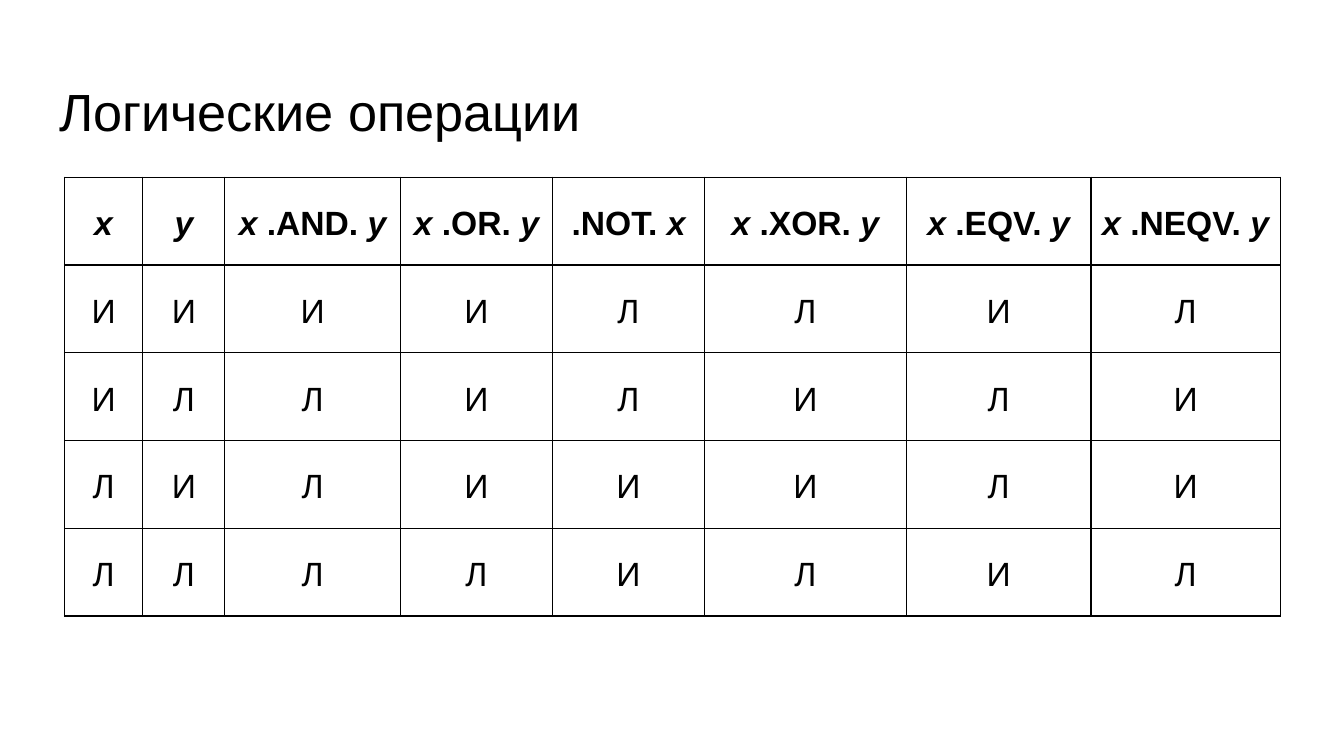
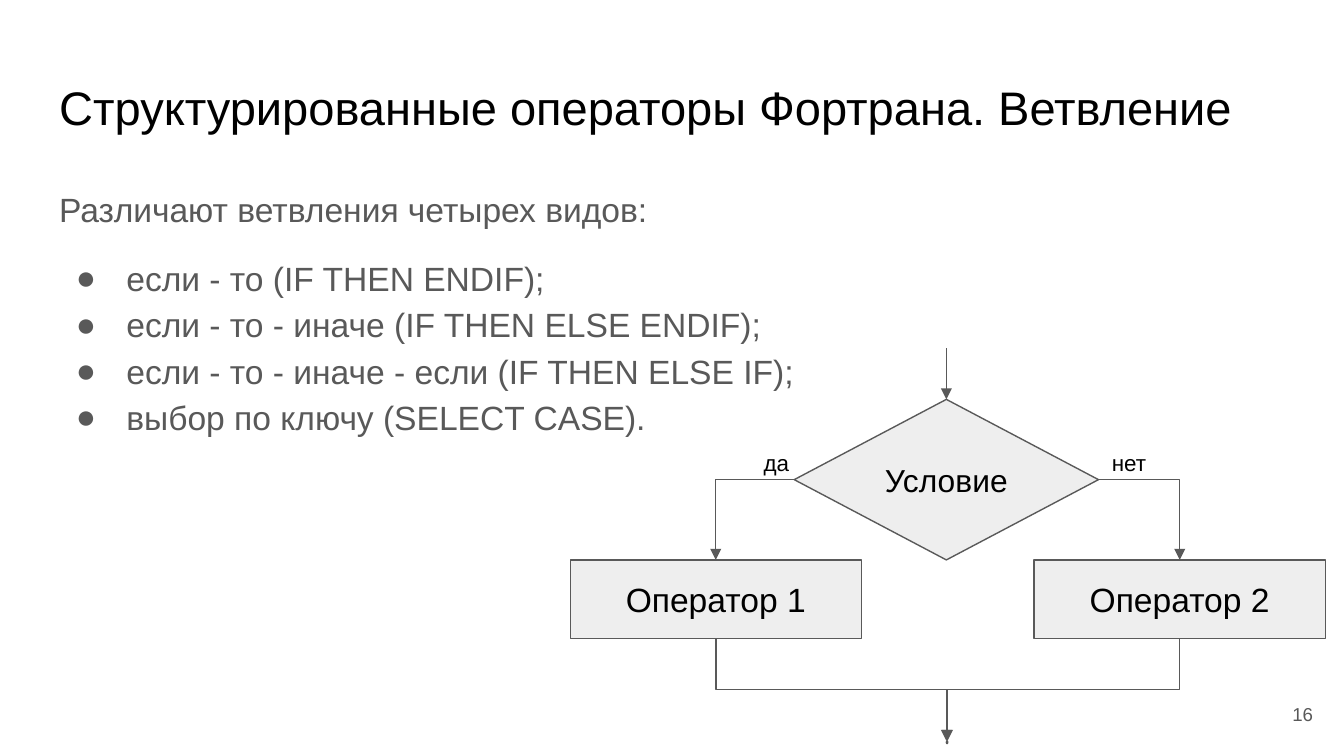
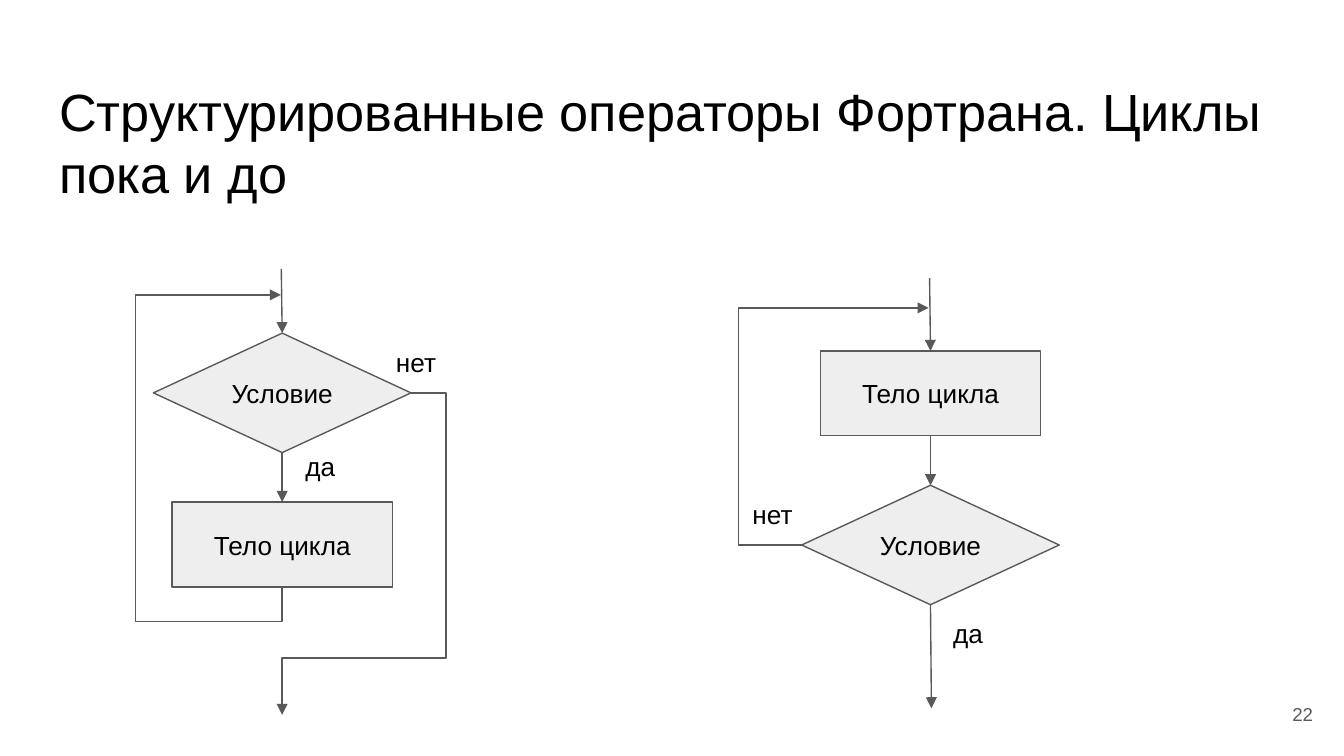
from dataclasses import dataclass
from typing import NamedTuple, Optional

from lxml.etree import SubElement
from pptx import Presentation
from pptx.dml.color import RGBColor
from pptx.enum.shapes import MSO_CONNECTOR, MSO_SHAPE
from pptx.enum.text import MSO_ANCHOR, MSO_AUTO_SIZE, PP_ALIGN
from pptx.oxml.ns import qn
from pptx.shapes.autoshape import Shape
from pptx.shapes.connector import Connector
from pptx.slide import Slide
from pptx.text.text import TextFrame
from pptx.util import Pt

BLACK = RGBColor(0x00, 0x00, 0x00)
GRAY = RGBColor(0x59, 0x59, 0x59)
PALE = RGBColor(0xEE, 0xEE, 0xEE)
WHITE = RGBColor(0xFF, 0xFF, 0xFF)
FONT = "Arial"
INSET = 7.2
STROKE = 0.75
TITLE_TOP, TITLE_LEFT, TITLE_WIDE = 35, 24.5, 671
LIST_LAYOUT, TITLE_LAYOUT = 1, 5


class Spot(NamedTuple):
    x: float
    y: float


class Box(NamedTuple):
    left: float
    top: float
    wide: float
    high: float

    @property
    def mid(self) -> Spot:
        return Spot(self.left + self.wide / 2, self.top + self.high / 2)

    @property
    def right(self) -> float:
        return self.left + self.wide

    @property
    def base(self) -> float:
        return self.top + self.high

    def points(self) -> list[Pt]:
        return [Pt(value) for value in self]


@dataclass
class Node:
    kind: MSO_SHAPE
    box: Box
    text: str = ""
    size: float = 14


@dataclass
class Label:
    text: str
    box: Box
    size: float = 14
    color: RGBColor = BLACK
    align: PP_ALIGN = PP_ALIGN.LEFT
    anchor: MSO_ANCHOR = MSO_ANCHOR.TOP


def style(frame: TextFrame, size: float, color: RGBColor = BLACK,
          align: PP_ALIGN = PP_ALIGN.LEFT, anchor: MSO_ANCHOR = MSO_ANCHOR.TOP) -> None:
    frame.word_wrap = True
    frame.auto_size = MSO_AUTO_SIZE.NONE
    frame.vertical_anchor = anchor
    frame.margin_left = frame.margin_right = Pt(INSET)
    frame.margin_top = frame.margin_bottom = Pt(INSET)
    for para in frame.paragraphs:
        para.alignment = align
        for run in para.runs:
            run.font.name, run.font.size = FONT, Pt(size)
            run.font.color.rgb = color


def place(shape: Shape, box: Box) -> None:
    shape.left, shape.top, shape.width, shape.height = box.points()


def add_slide(deck: Presentation, layout: int, title: str,
              size: float = 28, high: float = 45) -> Slide:
    slide = deck.slides.add_slide(deck.slide_layouts[layout])
    slide.background.fill.solid()
    slide.background.fill.fore_color.rgb = WHITE
    head = slide.shapes.title
    place(head, Box(TITLE_LEFT, TITLE_TOP, TITLE_WIDE, high))
    head.text_frame.text = title
    style(head.text_frame, size)
    return slide


def add_label(slide: Slide, label: Label) -> None:
    frame = slide.shapes.add_textbox(*label.box.points()).text_frame
    frame.text = label.text
    style(frame, label.size, label.color, label.align, label.anchor)


def add_number(slide: Slide, number: int) -> None:
    add_label(slide, Label(str(number), Box(667.5, 367, 43, 31), 10, GRAY,
                           PP_ALIGN.RIGHT, MSO_ANCHOR.MIDDLE))


def add_node(slide: Slide, node: Node) -> Shape:
    shape = slide.shapes.add_shape(node.kind, *node.box.points())
    shape.shadow.inherit = False
    shape.fill.solid()
    shape.fill.fore_color.rgb = PALE
    shape.line.color.rgb = GRAY
    shape.line.width = Pt(STROKE)
    if node.text:
        shape.text_frame.text = node.text
        style(shape.text_frame, node.size, BLACK, PP_ALIGN.CENTER, MSO_ANCHOR.MIDDLE)
    return shape


def finish(link: Connector) -> None:
    """Give a connector its colour, arrowhead and empty effect list."""
    link.line.color.rgb = GRAY
    link.line.width = Pt(STROKE)
    SubElement(link.line._get_or_add_ln(), qn("a:tailEnd"), type="triangle")
    SubElement(link._element.spPr, qn("a:effectLst"))


def add_arrow(slide: Slide, start: Spot, end: Spot,
              source: Optional[Shape] = None, target: Optional[Shape] = None) -> None:
    """Draw a downward arrow, joined to a source's bottom and a target's top."""
    ends = [Pt(value) for value in (*start, *end)]
    link = slide.shapes.add_connector(MSO_CONNECTOR.STRAIGHT, *ends)
    if source:
        link.begin_connect(source, 2)
    if target:
        link.end_connect(target, 0)
    finish(link)


def add_bent(slide: Slide, *route: Spot) -> None:
    """Draw an elbow arrow whose preset, turn and adjustments follow the route."""
    start, end = route[0], route[-1]
    link = slide.shapes.add_connector(
        MSO_CONNECTOR.ELBOW, *[Pt(value) for value in (*start, *end)])
    wide, high = end.x - start.x, end.y - start.y
    upright = start.x == route[1].x
    along, across = (high, -wide) if upright else (wide, high)
    link.left = Pt((start.x + end.x - abs(along)) / 2)
    link.top = Pt((start.y + end.y - abs(across)) / 2)
    link.width, link.height = Pt(abs(along)), Pt(abs(across))
    frame = link._element.spPr.find(qn("a:xfrm"))
    frame.set("rot", "5400000" if upright else "0")
    frame.set("flipH", str(int(along < 0)))
    frame.set("flipV", str(int(across < 0)))

    shape = link._element.spPr.find(qn("a:prstGeom"))
    shape.set("prst", f"bentConnector{len(route) - 1}")
    guides = shape.find(qn("a:avLst"))
    if guides is None:
        guides = SubElement(shape, qn("a:avLst"))
    for step, spot in enumerate(route[1:-2]):
        axis = (step + upright) % 2
        ratio = (spot[axis] - start[axis]) / (end[axis] - start[axis])
        SubElement(guides, qn("a:gd"), name=f"adj{step + 1}",
                   fmla=f"val {round(ratio * 100000)}")
    finish(link)


COLUMNS = [42, 44, 94, 81.5, 81.5, 108, 99, 101.5]
ROW_HIGH = 47
CELL_INSET = 5
HEADS = ["x", "y", "x .AND. y", "x .OR. y", ".NOT. x", "x .XOR. y", "x .EQV. y", "x .NEQV. y"]
TRUTH = ["ИИИИЛЛИЛ", "ИЛЛИЛИЛИ", "ЛИЛИИИЛИ", "ЛЛЛЛИЛИЛ"]


def add_borders(cell) -> None:
    props = cell._tc.get_or_add_tcPr()
    for place_no, side in enumerate(("lnL", "lnR", "lnT", "lnB")):
        edge = SubElement(props, qn(f"a:{side}"), w=str(Pt(STROKE)))
        fill = SubElement(edge, qn("a:solidFill"))
        SubElement(fill, qn("a:srgbClr"), val=str(BLACK))
        props.insert(place_no, edge)


def add_truth(slide: Slide) -> None:
    rows = [HEADS, *TRUTH]
    box = Box(34.5, 95, sum(COLUMNS), ROW_HIGH * len(rows))
    table = slide.shapes.add_table(len(rows), len(COLUMNS), *box.points()).table
    table.first_row = table.horz_banding = False
    for column, wide in zip(table.columns, COLUMNS):
        column.width = Pt(wide)
    for r, row in enumerate(rows):
        table.rows[r].height = Pt(ROW_HIGH)
        for c, text in enumerate(row):
            cell = table.cell(r, c)
            cell.fill.background()
            add_borders(cell)
            cell.vertical_anchor = MSO_ANCHOR.MIDDLE
            cell.margin_left = cell.margin_right = Pt(CELL_INSET)
            cell.margin_top = cell.margin_bottom = Pt(CELL_INSET)
            para = cell.text_frame.paragraphs[0]
            para.alignment, para.line_spacing = PP_ALIGN.CENTER, 1.15
            words = text.split()
            for i, word in enumerate(words):
                run = para.add_run()
                run.text = word if i == len(words) - 1 else word + " "
                font = run.font
                font.name, font.size, font.color.rgb = FONT, Pt(18), BLACK
                font.bold, font.italic = r == 0, word in ("x", "y")


LIST = [
    "Различают ветвления четырех видов:",
    "если - то (IF THEN ENDIF);",
    "если - то - иначе (IF THEN ELSE ENDIF);",
    "если - то - иначе - если (IF THEN ELSE IF);",
    "выбор по ключу (SELECT CASE).",
]


def add_list(slide: Slide) -> None:
    body = slide.placeholders[1]
    place(body, Box(TITLE_LEFT, 91, TITLE_WIDE, 269))
    frame = body.text_frame
    frame.text = "\n".join(LIST)
    for i, para in enumerate(frame.paragraphs):
        props = para._p.get_or_add_pPr()
        props.set("marL", str(Pt(36 if i else 0)))
        props.set("indent", str(Pt(-27 if i else 0)))
        para.line_spacing = 1.15
        para.space_before = Pt(12 if i == 1 else 0)
        if i:
            color = SubElement(props, qn("a:buClr"))
            SubElement(color, qn("a:srgbClr"), val=str(GRAY))
            SubElement(props, qn("a:buFont"), typeface=FONT)
            SubElement(props, qn("a:buChar"), char="●")
        else:
            SubElement(props, qn("a:buNone"))
    style(frame, 18, GRAY)


def draw_branch(slide: Slide) -> None:
    test = Box(425.5, 214, 163, 86)
    left, right = (Box(x, 300, 156, 42) for x in (305.5, 554))
    mid = test.mid
    merge, stop = 369.5, 397
    add_node(slide, Node(MSO_SHAPE.OVAL, Box(mid.x, stop, 0.7, 1.4)))
    for i, box in enumerate((left, right), 1):
        add_node(slide, Node(MSO_SHAPE.RECTANGLE, box, f"Оператор {i}", 18))
    choice = add_node(slide, Node(MSO_SHAPE.DIAMOND, test, "Условие", 17))
    for box, side, shift in ((left, test.left, 0.6), (right, test.right, 0)):
        x = box.mid.x
        add_bent(slide, Spot(side, mid.y), Spot(x, mid.y), Spot(x, box.top))
        add_bent(slide, Spot(x, box.base), Spot(x, merge),
                 Spot(mid.x + shift, merge), Spot(mid.x + shift, stop))
    add_arrow(slide, Spot(mid.x, 186.5), Spot(mid.x, test.top), target=choice)
    for text, x in (("да", 402), ("нет", test.right)):
        add_label(slide, Label(text, Box(x, 233.5, 42.5, 29), 12))


def draw_pair(slide: Slide, mid: float, body_top: float, test_top: float,
              entry: float) -> tuple[Box, Box, Shape]:
    """Draw a loop's body and test, the arrow into them and the one between."""
    body = Box(mid - 59, body_top, 118, 45.5)
    test = Box(mid - 69, test_top, 138, 64)
    nodes = [add_node(slide, Node(MSO_SHAPE.RECTANGLE, body, "Тело цикла")),
             add_node(slide, Node(MSO_SHAPE.DIAMOND, test, "Условие"))]
    (first, upper), (last, lower) = sorted(
        zip((body, test), nodes), key=lambda pair: pair[0].top)
    add_arrow(slide, Spot(mid - 0.5, entry), Spot(mid, first.top), target=upper)
    add_arrow(slide, Spot(mid, first.base), Spot(mid, last.top), upper, lower)
    return body, test, lower


def draw_while(slide: Slide) -> None:
    mid = 151.2
    body, test, _ = draw_pair(slide, mid, 269, 178.5, 144)
    back, turn, entry = 73.5, 333, 158
    add_bent(slide, Spot(mid, body.base), Spot(mid, turn), Spot(back, turn),
             Spot(back, entry), Spot(mid - 0.7, entry))
    out, low = 239, 352.5
    add_bent(slide, Spot(test.right, test.mid.y), Spot(out, test.mid.y),
             Spot(out, low), Spot(mid, low), Spot(mid, 383))
    add_label(slide, Label("да", Box(156.5, 234, 32, 32)))
    add_label(slide, Label("нет", Box(205, 178.5, 40, 32)))


def draw_until(slide: Slide) -> None:
    mid = 498.5
    _, test, choice = draw_pair(slide, mid, 188, 260, 149)
    add_label(slide, Label("да", Box(503.5, 323.5, 32, 32)))
    add_label(slide, Label("нет", Box(396, 260, 40, 32)))
    add_arrow(slide, Spot(mid, test.base), Spot(mid + 0.5, 379.5), source=choice)
    back, entry = 395.5, 165
    add_bent(slide, Spot(test.left, test.mid.y), Spot(back, test.mid.y),
             Spot(back, entry), Spot(mid - 1, entry))


def main() -> None:
    deck = Presentation()
    deck.slide_width, deck.slide_height = Pt(720), Pt(405)

    add_truth(add_slide(deck, TITLE_LAYOUT, "Логические операции"))

    branch = add_slide(deck, LIST_LAYOUT,
                       "Структурированные операторы Фортрана. Ветвление", 25.2)
    add_list(branch)
    add_number(branch, 16)
    draw_branch(branch)

    loops = add_slide(deck, TITLE_LAYOUT,
                      "Структурированные операторы Фортрана. Циклы пока и до", high=83.5)
    add_number(loops, 22)
    draw_while(loops)
    draw_until(loops)

    deck.save("out.pptx")


if __name__ == "__main__":
    main()
